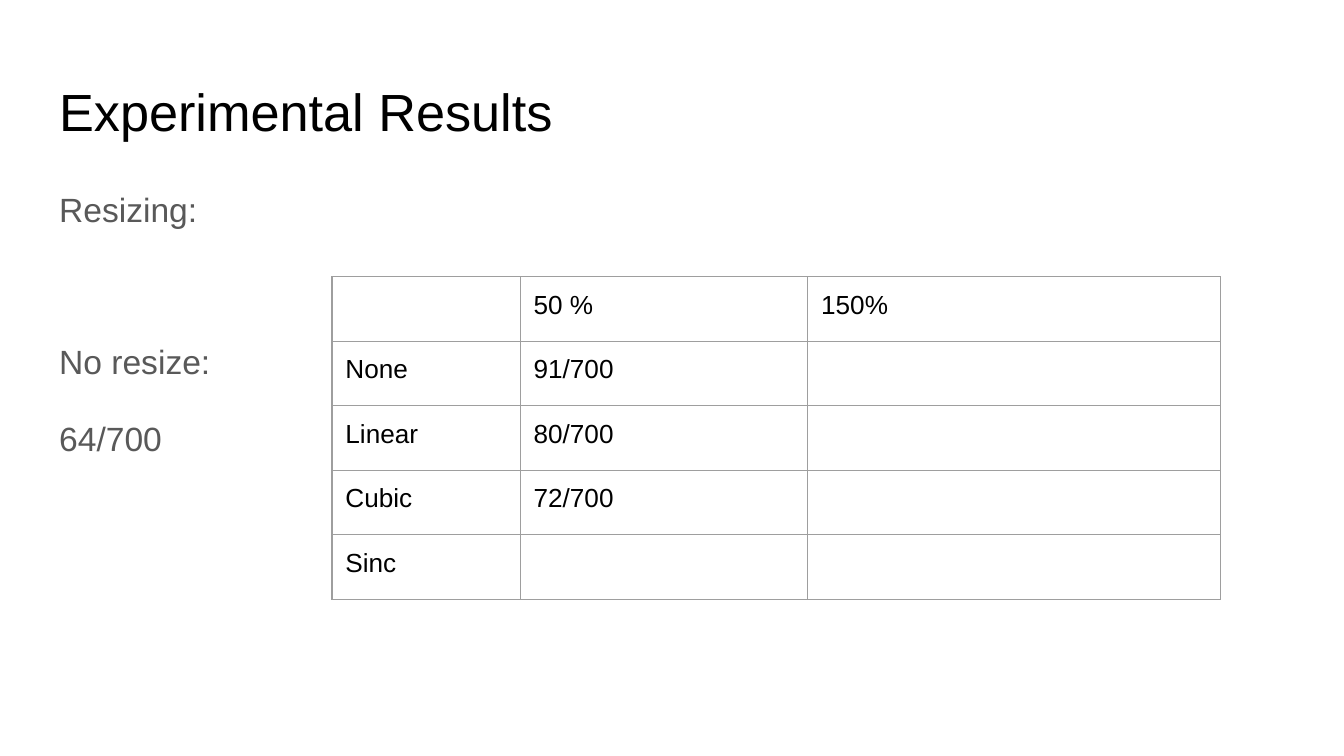
from lxml import etree
from pptx import Presentation
from pptx import util as u
from pptx.dml.color import RGBColor
from pptx.enum import text
from pptx.oxml.ns import qn

BLACK = RGBColor(0x00, 0x00, 0x00)
BODY_GREY = RGBColor(0x59, 0x59, 0x59)
BORDER_GREY = RGBColor(0x9E, 0x9E, 0x9E)
FONT = "Arial"
PADDING = u.Inches(0.1)

SLIDE_WIDTH = 10
SLIDE_HEIGHT = SLIDE_WIDTH * 9 / 16
COLUMN_WIDTHS = (1.4, 2.14, 3.07)
ROW_HEIGHT = 0.48
RESULTS = (
    ("", "50 %", "150%"),
    ("None", "91/700", ""),
    ("Linear", "80/700", ""),
    ("Cubic", "72/700", ""),
    ("Sinc", "", ""),
)


def format_paragraph(paragraph, size, color):
    paragraph.alignment = text.PP_ALIGN.LEFT
    paragraph.font.name = FONT
    paragraph.font.size = u.Pt(size)
    paragraph.font.color.rgb = color


def set_padding(holder):
    holder.margin_left = holder.margin_right = PADDING
    holder.margin_top = holder.margin_bottom = PADDING


def place_placeholder(shape, left, top, width, height):
    shape.left, shape.top = u.Inches(left), u.Inches(top)
    shape.width, shape.height = u.Inches(width), u.Inches(height)
    frame = shape.text_frame
    set_padding(frame)
    frame.word_wrap = True
    frame.auto_size = text.MSO_AUTO_SIZE.NONE
    frame.vertical_anchor = text.MSO_ANCHOR.TOP
    return frame


def add_title(slide, left, top, width, height):
    frame = place_placeholder(slide.shapes.title, left, top, width, height)
    frame.text = "Experimental Results"
    format_paragraph(frame.paragraphs[0], 28, BLACK)


def add_body(slide, left, top, width, height):
    frame = place_placeholder(slide.placeholders[1], left, top, width, height)
    lines = (("Resizing:", 56.5), ("No resize:", 16.5), ("64/700", 16))
    frame.text = "\n".join(line for line, _ in lines)
    for paragraph, (_, space_after) in zip(frame.paragraphs, lines):
        format_paragraph(paragraph, 18, BODY_GREY)
        paragraph.line_spacing = 1.15
        paragraph.space_before = u.Pt(0)
        paragraph.space_after = u.Pt(space_after)
        properties = paragraph._p.get_or_add_pPr()
        properties.set("marL", "0")
        properties.set("indent", "0")
        bullet = etree.Element(qn("a:buNone"))
        properties.find(qn("a:defRPr")).addprevious(bullet)


def add_borders(cell):
    properties = cell._tc.get_or_add_tcPr()
    for side in ("L", "R", "T", "B"):
        line = etree.SubElement(properties, qn(f"a:ln{side}"), w=str(u.Pt(0.75)))
        fill = etree.SubElement(line, qn("a:solidFill"))
        etree.SubElement(fill, qn("a:srgbClr"), val=str(BORDER_GREY))


def add_results_table(slide, left, top):
    frame = slide.shapes.add_table(
        len(RESULTS), len(COLUMN_WIDTHS), u.Inches(left), u.Inches(top),
        u.Inches(sum(COLUMN_WIDTHS)), u.Inches(ROW_HEIGHT * len(RESULTS)))
    table = frame.table
    table.first_row = table.horz_banding = False
    for column, width in zip(table.columns, COLUMN_WIDTHS):
        column.width = u.Inches(width)
    for row, values in zip(table.rows, RESULTS):
        row.height = u.Inches(ROW_HEIGHT)
        for cell, value in zip(row.cells, values):
            cell.text = value
            set_padding(cell)
            format_paragraph(cell.text_frame.paragraphs[0], 14, BLACK)
            add_borders(cell)
            cell.fill.background()


def main():
    presentation = Presentation()
    presentation.slide_width = u.Inches(SLIDE_WIDTH)
    presentation.slide_height = u.Inches(SLIDE_HEIGHT)
    slide = presentation.slides.add_slide(presentation.slide_layouts[1])
    add_title(slide, 0.34, 0.49, 9.32, 0.63)
    add_body(slide, 0.34, 1.26, 9.32, 3.74)
    add_results_table(slide, 2.47, 2.06)
    presentation.save("out.pptx")


if __name__ == "__main__":
    main()
